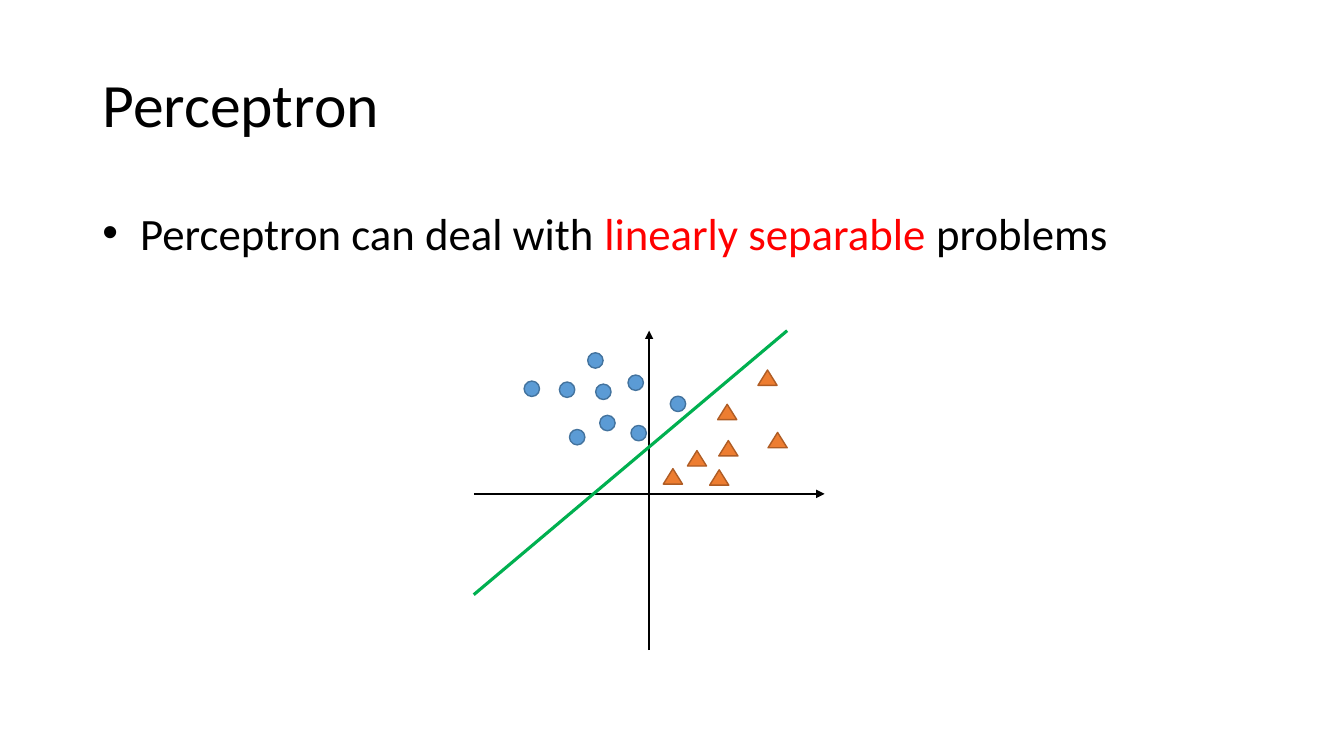
from lxml import etree
from pptx import Presentation
from pptx.dml.color import RGBColor
from pptx.enum.shapes import MSO_CONNECTOR, MSO_SHAPE
from pptx.enum.text import MSO_ANCHOR, MSO_AUTO_SIZE, PP_ALIGN
from pptx.oxml.ns import qn
from pptx.util import Pt

STRAIGHT = MSO_CONNECTOR.STRAIGHT
CIRCLE, TRIANGLE = MSO_SHAPE.OVAL, MSO_SHAPE.ISOSCELES_TRIANGLE
MIDDLE, TOP = MSO_ANCHOR.MIDDLE, MSO_ANCHOR.TOP
NO_FIT = MSO_AUTO_SIZE.NONE
LEFT = PP_ALIGN.LEFT

FONT = "Calibri"
COLORS = {
    "text": "000000",
    "highlight": "FF0000",
    "axis": "000000",
    "boundary": "00B050",
    "circle": "5B9BD5",
    "circle_edge": "43739E",
    "triangle": "ED7D31",
    "triangle_edge": "AF5C24",
}

# Boxes are left, top, width, height in points.
TITLE_BOX = (66, 21.6, 828, 104.4)
STATEMENT_BOX = (66, 143.3, 828, 342.7)
PLOT_BOX = (338.4, 236.2, 250.6, 228.2)

# Left and top of each marker, relative to the plot box.
CIRCLE_POINTS = [
    (140.4, 46.8), (110.2, 31.7), (87.1, 38.2), (36, 36), (61.2, 36.7),
    (112.3, 67.7), (90, 60.5), (81.4, 15.8), (68.4, 70.6),
]
TRIANGLE_POINTS = [
    (152.6, 85.7), (174.2, 52.6), (175, 78.5), (135.4, 98.6),
    (168.5, 99.4), (210.2, 72.7), (203, 28.1),
]


def color(name):
    return RGBColor.from_string(COLORS[name])


def format_run(run, size, color_name):
    run.font.name = FONT
    run.font.size = Pt(size)
    run.font.color.rgb = color(color_name)


def add_title(slide, box):
    title = slide.shapes.title
    title.left, title.top, title.width, title.height = map(Pt, box)
    frame = title.text_frame
    frame.text = "Perceptron"
    frame.auto_size = NO_FIT
    frame.vertical_anchor = MIDDLE
    heading = frame.paragraphs[0]
    heading.alignment = LEFT
    format_run(heading.runs[0], 44, "text")


def add_statement(slide, box):
    frame = slide.shapes.add_textbox(*map(Pt, box)).text_frame
    frame.word_wrap = True
    frame.vertical_anchor = TOP
    statement = frame.paragraphs[0]
    properties = statement._p.get_or_add_pPr()
    properties.set("marL", str(Pt(27)))
    properties.set("indent", str(Pt(-27)))
    etree.SubElement(properties, qn("a:buFont"), typeface="Arial")
    etree.SubElement(properties, qn("a:buChar"), char="•")
    for words, color_name in [
        ("Perceptron can deal with ", "text"),
        ("linearly separable", "highlight"),
        (" problems", "text"),
    ]:
        run = statement.add_run()
        run.text = words
        format_run(run, 32, color_name)


def add_line(slide, start, end, color_name, width, arrow=False):
    line = slide.shapes.add_connector(STRAIGHT, *map(Pt, (*start, *end)))
    line.line.color.rgb = color(color_name)
    line.line.width = Pt(width)
    if arrow:
        etree.SubElement(line.line._get_or_add_ln(), qn("a:tailEnd"), type="triangle")
    etree.SubElement(line._element.spPr, qn("a:effectLst"))


def add_markers(slide, origin, points, preset, size, fill_name):
    left, top = origin
    for x, y in points:
        marker = slide.shapes.add_shape(preset, *map(Pt, (left + x, top + y, *size)))
        marker.shadow.inherit = False
        marker.fill.solid()
        marker.fill.fore_color.rgb = color(fill_name)
        marker.line.color.rgb = color(fill_name + "_edge")
        marker.line.width = Pt(1)


def add_plot(slide, box):
    """Draw two classes of points on a pair of axes, split by a straight boundary."""
    left, top, width, height = box
    axis_x, axis_y = left + width / 2, top + 116.6
    add_line(slide, (left, axis_y), (left + width, axis_y), "axis", 1.5, arrow=True)
    add_line(slide, (axis_x, top + height), (axis_x, top), "axis", 1.5, arrow=True)
    add_markers(slide, (left, top), CIRCLE_POINTS, CIRCLE, (11, 11), "circle")
    add_markers(slide, (left, top), TRIANGLE_POINTS, TRIANGLE, (13.7, 11), "triangle")
    add_line(slide, (left + 223.9, top), (left, top + 188.6), "boundary", 2.25)


def main():
    presentation = Presentation()
    presentation.slide_width, presentation.slide_height = Pt(960), Pt(540)
    title_only = presentation.slide_layouts.get_by_name("Title Only")
    slide = presentation.slides.add_slide(title_only)
    add_title(slide, TITLE_BOX)
    add_statement(slide, STATEMENT_BOX)
    add_plot(slide, PLOT_BOX)
    presentation.save("out.pptx")


if __name__ == "__main__":
    main()
